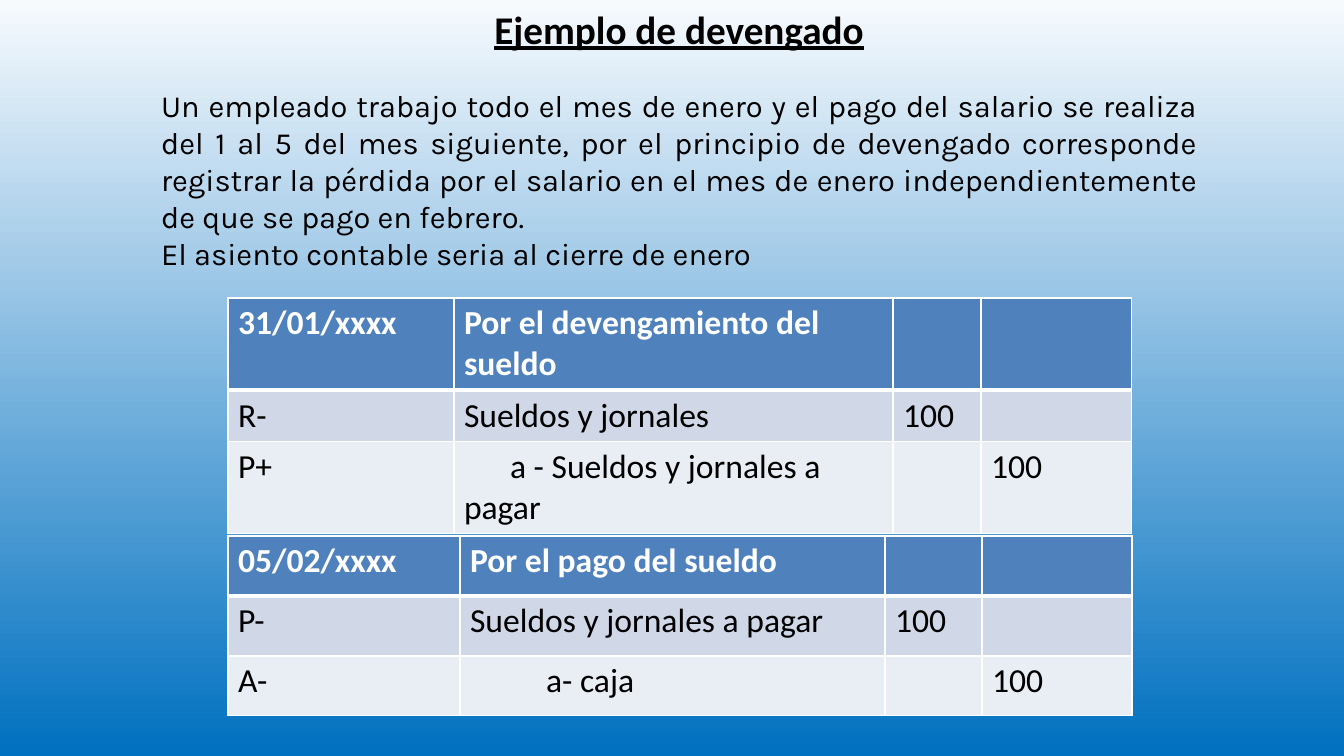
"""Build a slide with an accrual example and its two journal entries."""
from lxml import etree
from pptx import Presentation
from pptx.dml.color import RGBColor
from pptx.enum.text import MSO_ANCHOR, MSO_AUTO_SIZE, PP_ALIGN
from pptx.oxml.ns import qn
from pptx.util import Pt

TOP, NO_FIT = MSO_ANCHOR.TOP, MSO_AUTO_SIZE.NONE
CENTER, JUSTIFY = PP_ALIGN.CENTER, PP_ALIGN.JUSTIFY
PX = 914400 / 100.8
COLORS = {
    "sky": "F7FAFD", "sea": "0070C0", "header": "4F81BD", "odd": "D0D8E8",
    "even": "E9EDF4", "white": "FFFFFF", "black": "000000",
}

TITLE = "Ejemplo de devengado"
EXPLANATION = [
    "Un empleado trabajo todo el mes de enero y el pago del salario se realiza "
    "del 1 al 5 del mes siguiente, por el principio de devengado corresponde "
    "registrar la pérdida por el salario en el mes de enero independientemente "
    "de que se pago en febrero.",
    "El asiento contable seria al cierre de enero",
]
ENTRIES = [
    {
        "top": 298, "columns": [226, 439, 88, 151], "heights": [90, 50, 91],
        "credit_indent": 46,
        "rows": [
            ["31/01/xxxx", "Por el devengamiento del sueldo", "", ""],
            ["R-", "Sueldos y jornales", "100", ""],
            ["P+", "a - Sueldos y jornales a pagar", "", "100"],
        ],
    },
    {
        "top": 536, "columns": [232, 425, 97, 150], "heights": [60, 60, 60],
        "credit_indent": 76,
        "rows": [
            ["05/02/xxxx", "Por el pago del sueldo", "", ""],
            ["P-", "Sueldos y jornales a pagar", "100", ""],
            ["A-", "a- caja", "", "100"],
        ],
    },
]
TEXT_LEFT, TEXT_WIDTH = 151, 1056
ENTRY_LEFT = 228


def px(length):
    return round(length * PX)


def rgb(name):
    return RGBColor.from_string(COLORS[name])


def style_font(font, family, size, color, bold=False):
    font.name, font.size, font.bold = family, Pt(size), bold
    font.color.rgb = rgb(color)


def place_text(holder, top, height, inset):
    holder.left, holder.top = px(TEXT_LEFT), px(top)
    holder.width, holder.height = px(TEXT_WIDTH), px(height)
    frame = holder.text_frame
    frame.word_wrap, frame.auto_size = True, NO_FIT
    frame.vertical_anchor = TOP
    frame.margin_top = px(inset)
    return frame


def add_border(cell, side, points):
    line = etree.SubElement(cell._tc.get_or_add_tcPr(), qn(f"a:ln{side}"), w=str(Pt(points)))
    fill = etree.SubElement(line, qn("a:solidFill"))
    etree.SubElement(fill, qn("a:srgbClr"), val=COLORS["white"])


def add_entry(slide, entry):
    rows, columns, heights = entry["rows"], entry["columns"], entry["heights"]
    table = slide.shapes.add_table(
        len(rows), len(columns), px(ENTRY_LEFT), px(entry["top"]),
        px(sum(columns)), px(sum(heights))).table
    for column, width in zip(table.columns, columns):
        column.width = px(width)
    for r, (row, height) in enumerate(zip(rows, heights)):
        table.rows[r].height = px(height)
        for c, words in enumerate(row):
            cell = table.cell(r, c)
            for side in "LRTB":
                thick = (r, side) in [(0, "B"), (1, "T")]
                add_border(cell, side, 3 if thick else 1)
            cell.fill.solid()
            cell.fill.fore_color.rgb = rgb(["header", "odd", "even"][r])
            cell.text_frame.text = words
            paragraph = cell.text_frame.paragraphs[0]
            if (r, c) == (2, 1):
                paragraph._p.get_or_add_pPr().set("indent", str(px(entry["credit_indent"])))
            style_font(paragraph.font, "Calibri", 24, "black" if r else "white", r == 0)
            for run in paragraph.runs:
                style_font(run.font, "Calibri", 24, "black" if r else "white", r == 0)


def main():
    deck = Presentation()
    deck.slide_width, deck.slide_height = px(1344), px(756)
    slide = deck.slides.add_slide(deck.slide_layouts[1])

    sky = slide.background.fill
    sky.gradient()
    sky.gradient_angle = 270
    for stop, name in zip(sky.gradient_stops, ["sky", "sea"]):
        stop.color.rgb = rgb(name)

    heading = place_text(slide.shapes.title, 0, 60, 5)
    heading.text = TITLE
    heading.paragraphs[0].alignment = CENTER
    heading_font = heading.paragraphs[0].runs[0].font
    style_font(heading_font, "Calibri", 28, "black", True)
    heading_font.underline = True

    explanation = place_text(slide.placeholders[1], 87, 195, 0)
    explanation.text = "\n".join(EXPLANATION)
    for paragraph in explanation.paragraphs:
        properties = paragraph._p.get_or_add_pPr()
        properties.set("marL", "0")
        properties.set("indent", "0")
        etree.SubElement(properties, qn("a:buNone"))
        paragraph.alignment = JUSTIFY
        paragraph.space_before = Pt(0)
        style_font(paragraph.runs[0].font, "Karla", 22, "black")

    for entry in ENTRIES:
        add_entry(slide, entry)
    deck.save("out.pptx")


if __name__ == "__main__":
    main()
